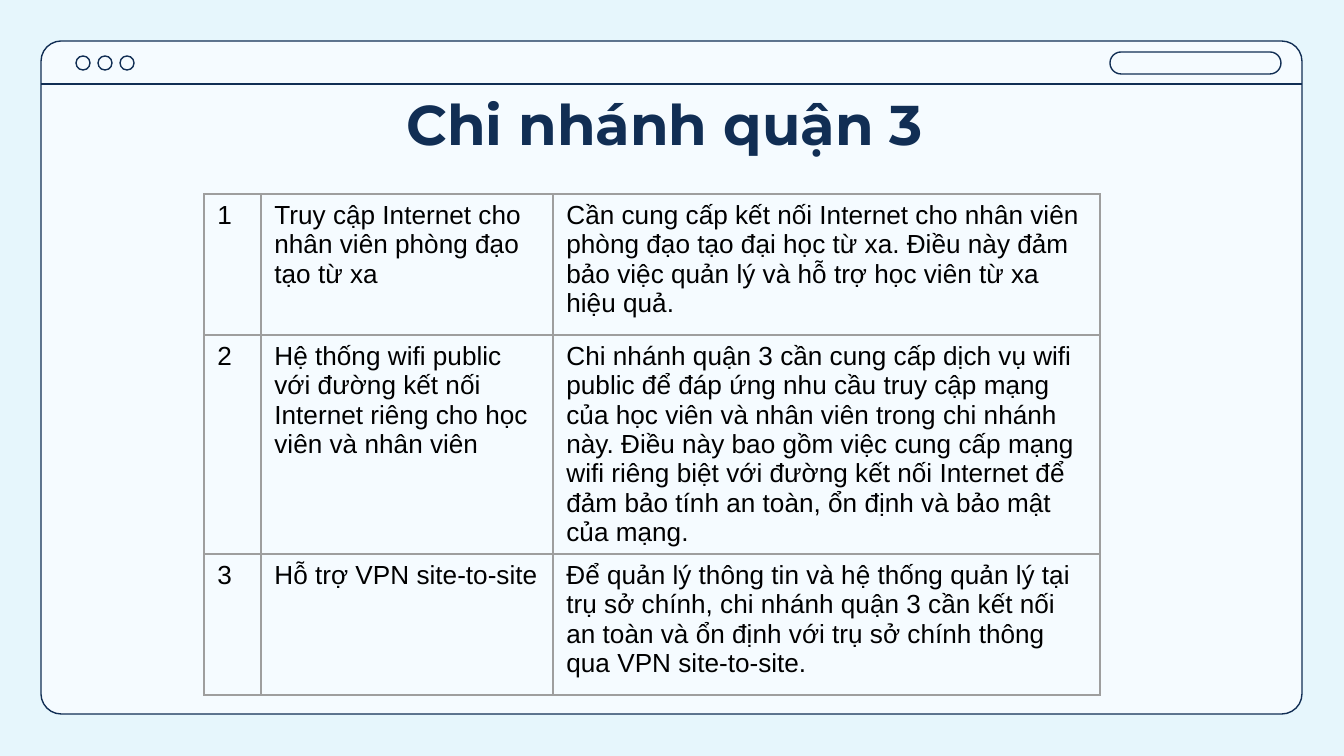
import pptx
import pptx.util
import pptx.dml.color
import pptx.enum.shapes
import pptx.enum.text
import pptx.oxml
import lxml.etree

PX = 9144000 / 1344
NAVY = "112E54"
GRID = "9E9E9E"
SHAPE = pptx.enum.shapes.MSO_SHAPE


def px(*values):
    return [pptx.util.Emu(round(v * PX)) for v in values]


def rgb(value):
    return pptx.dml.color.RGBColor.from_string(value)


prs = pptx.Presentation()
prs.slide_width, prs.slide_height = px(1344, 756)
s = prs.slides.add_slide(prs.slide_layouts[5])
s.background.fill.solid()
s.background.fill.fore_color.rgb = rgb("E6F6FC")

frame = [
    (SHAPE.ROUNDED_RECTANGLE, (41, 41, 1261, 673), 0.03, "F5FBFF"),
    (SHAPE.ROUNDED_RECTANGLE, (1110, 52, 171, 22), 0.5, None),
]
frame += [(SHAPE.OVAL, (76 + 22 * i, 56, 14, 14), None, None) for i in range(3)]
for kind, box, radius, fill in frame:
    sp = s.shapes.add_shape(kind, *px(*box))
    sp.shadow.inherit = False
    sp.line.color.rgb = rgb(NAVY)
    sp.line.width = pptx.util.Pt(0.75)
    if radius:
        sp.adjustments[0] = radius
    if fill:
        sp.fill.solid()
        sp.fill.fore_color.rgb = rgb(fill)
    else:
        sp.fill.background()

rule = s.shapes.add_connector(
    pptx.enum.shapes.MSO_CONNECTOR.STRAIGHT, *px(41, 84, 1302, 84))
rule.line.color.rgb = rgb(NAVY)
rule.line.width = pptx.util.Pt(0.75)
lxml.etree.SubElement(rule._element.spPr, pptx.oxml.ns.qn("a:effectLst"))

title = s.shapes.title
s.shapes._spTree.append(title._element)
title.left, title.top, title.width, title.height = px(106, 77, 1133, 84)
tf = title.text_frame
tf.text = "Chi nhánh quận 3 "
tf.word_wrap = True
tf.auto_size = pptx.enum.text.MSO_AUTO_SIZE.NONE
tf.vertical_anchor = pptx.enum.text.MSO_ANCHOR.TOP
tf.margin_left, tf.margin_top, tf.margin_right, tf.margin_bottom = px(13, 13, 13, 13)
p = tf.paragraphs[0]
p.alignment = pptx.enum.text.PP_ALIGN.CENTER
p.font.name = "Montserrat"
p.font.size = pptx.util.Pt(30)
p.font.bold = True
p.font.color.rgb = rgb(NAVY)

needs = [
    ("Truy cập Internet cho nhân viên phòng đạo tạo từ xa",
     "Cần cung cấp kết nối Internet cho nhân viên phòng đạo tạo đại học từ xa. "
     "Điều này đảm bảo việc quản lý và hỗ trợ học viên từ xa hiệu quả."),
    ("Hệ thống wifi public với đường kết nối Internet riêng cho học viên và nhân viên",
     "Chi nhánh quận 3 cần cung cấp dịch vụ wifi public để đáp ứng nhu cầu truy cập "
     "mạng của học viên và nhân viên trong chi nhánh này. Điều này bao gồm việc cung cấp "
     "mạng wifi riêng biệt với đường kết nối Internet để đảm bảo tính an toàn, ổn định "
     "và bảo mật của mạng."),
    ("Hỗ trợ VPN site-to-site",
     "Để quản lý thông tin và hệ thống quản lý tại trụ sở chính, chi nhánh quận 3 cần "
     "kết nối an toàn và ổn định với trụ sở chính thông qua VPN site-to-site."),
]
widths = px(57, 292, 547)
heights = px(141, 219, 141)
table = s.shapes.add_table(3, 3, *px(204, 194, 896, 501)).table
table.first_row = False
table.horz_banding = False
for column, width in zip(table.columns, widths):
    column.width = width
for i, (need, detail) in enumerate(needs):
    table.rows[i].height = heights[i]
    for j, text in enumerate((str(i + 1), need, detail)):
        cell = table.cell(i, j)
        cell.text = text
        p = cell.text_frame.paragraphs[0]
        p.font.name = "Arial"
        p.font.size = pptx.util.Pt(14)
        p.font.color.rgb = rgb("000000")
        tcPr = cell._tc.get_or_add_tcPr()
        for side in ("lnL", "lnR", "lnT", "lnB"):
            ln = lxml.etree.SubElement(tcPr, pptx.oxml.ns.qn("a:" + side), w="9525")
            fill = lxml.etree.SubElement(ln, pptx.oxml.ns.qn("a:solidFill"))
            lxml.etree.SubElement(fill, pptx.oxml.ns.qn("a:srgbClr"), val=GRID)
        cell.fill.background()

prs.save("out.pptx")
